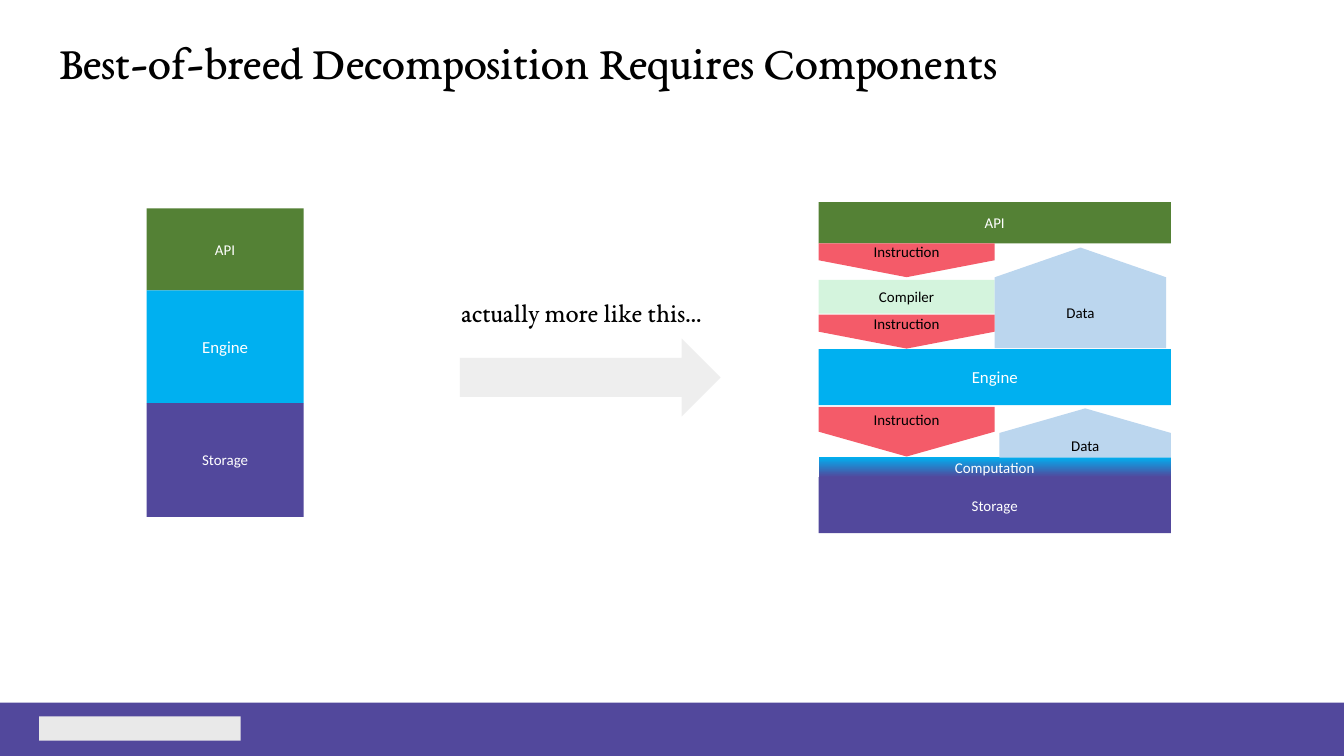
import pptx
import pptx.dml.color
import pptx.enum.shapes
import pptx.enum.text
import pptx.util

Cm = pptx.util.Cm
SHAPES = pptx.enum.shapes.MSO_SHAPE
ALIGN = pptx.enum.text.PP_ALIGN
ANCHOR = pptx.enum.text.MSO_ANCHOR

SLIDE_WIDTH, SLIDE_HEIGHT = 25.4, 14.29
FOOTER_TOP = 13.28
WHITE, BLACK = "FFFFFF", "000000"
GREEN, BLUE, PURPLE = "548135", "00B0F0", "52489C"
MINT, RED, PALE_BLUE = "D4F4DD", "F45B69", "BBD6EE"
GREY, FOOTER_MARK = "EEEEEE", "E9E9E9"

# Text, left, top, width, height, size
HEADINGS = [
    ("Best-of-breed Decomposition Requires Components", 0.87, 0.38, 23.67, 1.6, 25),
    ("actually more like this…", 8.47, 5.36, 5.21, 0.94, 14),
]

# Layers touch one another: text, height, fill, size
SIMPLE_LEFT, SIMPLE_TOP, SIMPLE_WIDTH = 2.77, 3.94, 2.97
SIMPLE_LAYERS = [
    ("API", 1.55, GREEN, 8),
    ("Engine", 2.13, BLUE, 9),
    ("Storage", 2.15, PURPLE, 8),
]

DETAIL_LEFT, DETAIL_WIDTH = 15.47, 6.66
HALF_WIDTH = DETAIL_WIDTH / 2
DATA_WIDTH = 3.24
# Text, top, height, fill, size
DETAIL_LAYERS = [
    ("API", 3.82, 0.78, GREEN, 8),
    ("Engine", 6.6, 1.06, BLUE, 9),
    ("Storage", 9.02, 1.06, PURPLE, 8),
    ("Computation", 8.64, 0.38, (BLUE, PURPLE), 8),
]
COMPILER = ("Compiler", 5.29, 0.64)
# Left, top, height, head ratio
DATA_ARROWS = [
    (DETAIL_LEFT + DETAIL_WIDTH - DATA_WIDTH, 7.72, 0.93, 0.5),
    (DETAIL_LEFT + HALF_WIDTH, 4.68, 1.9, 0.296),
]
# Top, height
INSTRUCTION_ARROWS = [(4.6, 0.64), (5.95, 0.64), (7.69, 0.94)]


def color(hex_string):
    return pptx.dml.color.RGBColor.from_string(hex_string)


def set_font(para, name, size, hex_string):
    para.font.name = name
    para.font.size = pptx.util.Pt(size)
    para.font.color.rgb = color(hex_string)


def add_heading(page, text, left, top, width, height, size):
    box = page.shapes.add_textbox(Cm(left), Cm(top), Cm(width), Cm(height))
    frame = box.text_frame
    frame.word_wrap = True
    frame.margin_left = frame.margin_right = Cm(0.25)
    frame.margin_top = frame.margin_bottom = Cm(0.25)
    frame.text = text
    set_font(frame.paragraphs[0], "EB Garamond", size, BLACK)


def add_block(page, kind, left, top, width, height, fill,
              text="", ink=WHITE, size=8, ratios=()):
    """Add a filled shape; a pair of fills makes a top-to-bottom gradient."""
    block = page.shapes.add_shape(kind, Cm(left), Cm(top), Cm(width), Cm(height))
    block.shadow.inherit = False
    block.line.fill.background()
    for index, ratio in enumerate(ratios):
        block.adjustments[index] = ratio
    if isinstance(fill, tuple):
        block.fill.gradient()
        block.fill.gradient_angle = 270
        for position, (stop, shade) in enumerate(zip(block.fill.gradient_stops, fill)):
            stop.position = position
            stop.color.rgb = color(shade)
    else:
        block.fill.solid()
        block.fill.fore_color.rgb = color(fill)
    if text:
        frame = block.text_frame
        frame.margin_left = frame.margin_right = 0
        frame.margin_top = frame.margin_bottom = 0
        frame.word_wrap = True
        frame.vertical_anchor = ANCHOR.MIDDLE
        frame.text = text
        para = frame.paragraphs[0]
        para.alignment = ALIGN.CENTER
        set_font(para, "Calibri", size, ink)


def main():
    deck = pptx.Presentation()
    deck.slide_width, deck.slide_height = Cm(SLIDE_WIDTH), Cm(SLIDE_HEIGHT)
    page = deck.slides.add_slide(deck.slide_layouts[6])

    add_block(page, SHAPES.RECTANGLE, 0, FOOTER_TOP, SLIDE_WIDTH,
              SLIDE_HEIGHT - FOOTER_TOP, PURPLE)
    add_block(page, SHAPES.RECTANGLE, 0.74, 13.54, 3.81, 0.46, FOOTER_MARK)

    for heading in HEADINGS:
        add_heading(page, *heading)

    top = SIMPLE_TOP
    for text, height, fill, size in SIMPLE_LAYERS:
        add_block(page, SHAPES.RECTANGLE, SIMPLE_LEFT, top, SIMPLE_WIDTH, height,
                  fill, text, size=size)
        top += height

    add_block(page, SHAPES.RIGHT_ARROW, 8.69, 6.4, 4.93, 1.47, GREY)

    for text, top, height, fill, size in DETAIL_LAYERS:
        add_block(page, SHAPES.RECTANGLE, DETAIL_LEFT, top, DETAIL_WIDTH, height,
                  fill, text, size=size)
    text, top, height = COMPILER
    add_block(page, SHAPES.RECTANGLE, DETAIL_LEFT, top, HALF_WIDTH, height,
              MINT, text, BLACK)
    for left, top, height, head in DATA_ARROWS:
        add_block(page, SHAPES.UP_ARROW, left, top, DATA_WIDTH, height,
                  PALE_BLUE, "Data", BLACK, ratios=(1, head))
    for top, height in INSTRUCTION_ARROWS:
        add_block(page, SHAPES.DOWN_ARROW, DETAIL_LEFT, top, HALF_WIDTH, height,
                  RED, "Instruction", BLACK, ratios=(1, 0.5))

    deck.save("out.pptx")


if __name__ == "__main__":
    main()
